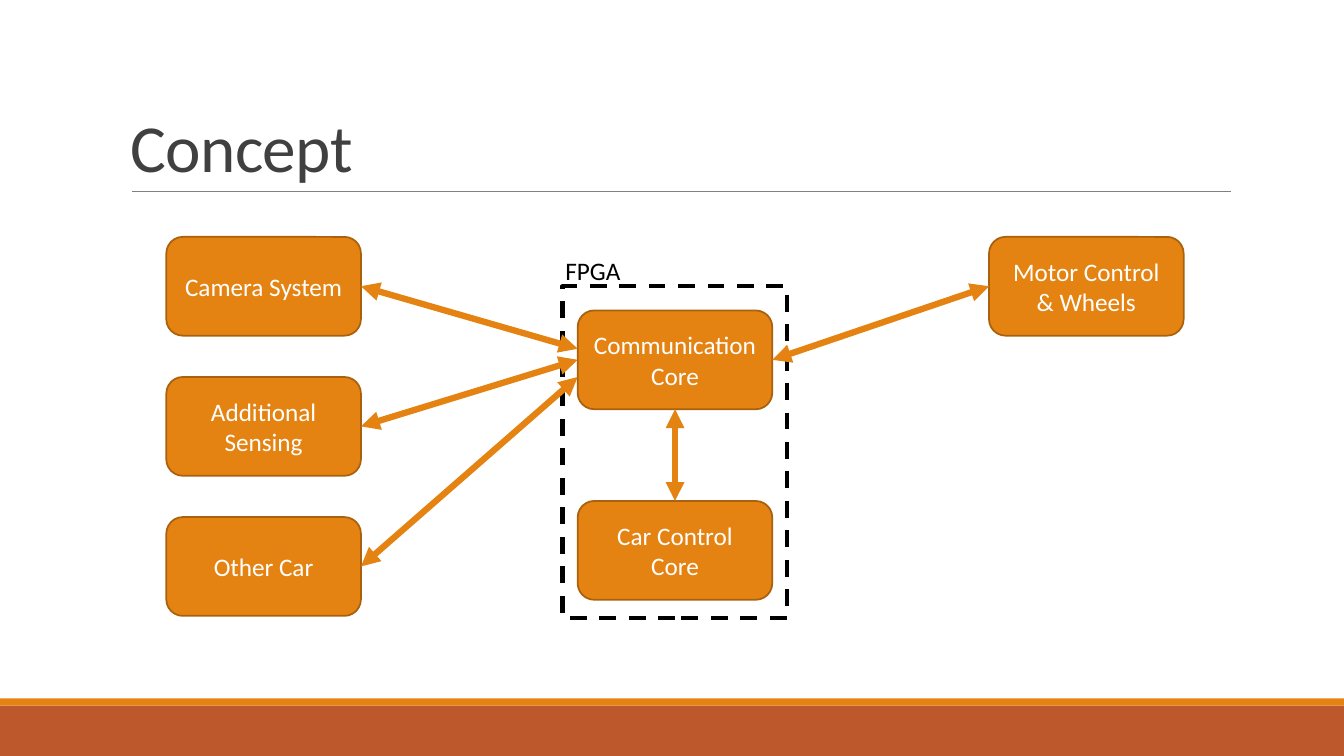
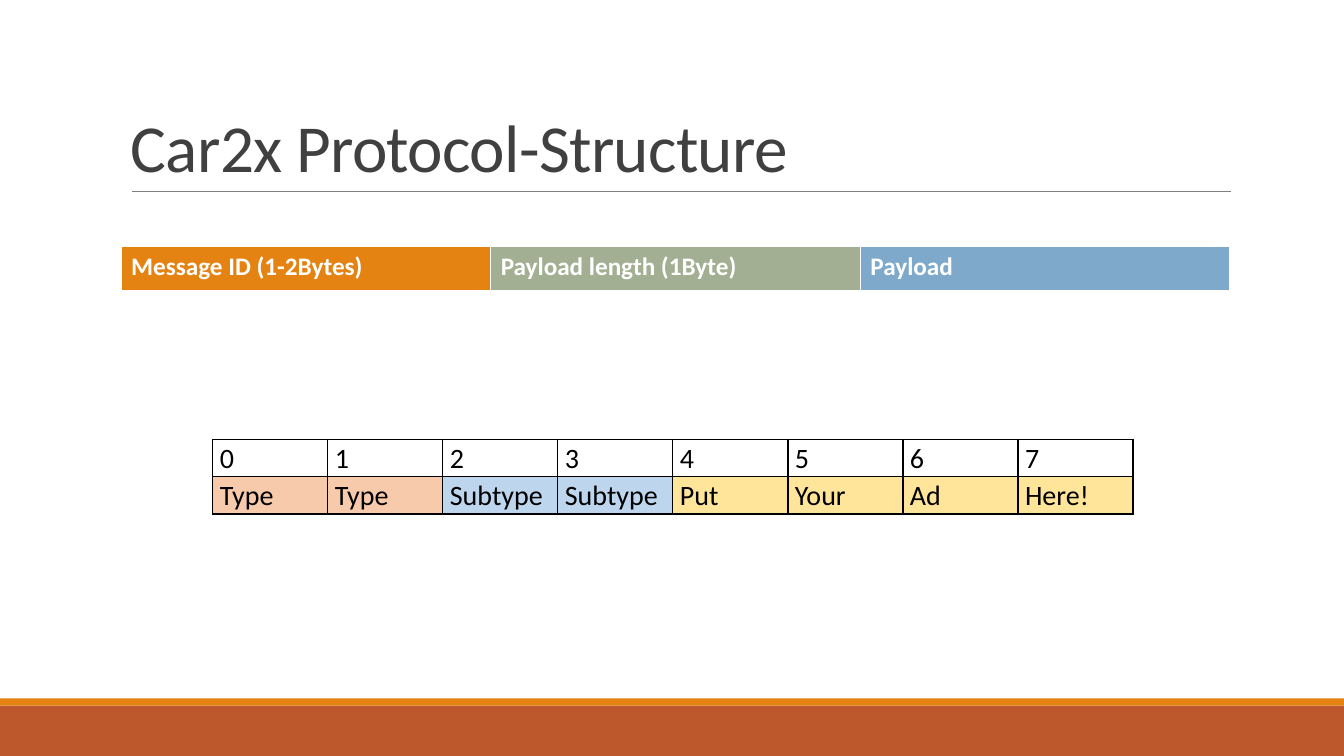
from lxml import etree
from pptx import Presentation
from pptx.dml.color import RGBColor
from pptx.enum.dml import MSO_LINE
from pptx.enum.shapes import MSO_CONNECTOR, MSO_SHAPE
from pptx.enum.text import MSO_ANCHOR, PP_ALIGN
from pptx.oxml.ns import qn
from pptx.util import Inches, Pt

RECT = MSO_SHAPE.RECTANGLE
ROUND = MSO_SHAPE.ROUNDED_RECTANGLE
STRAIGHT = MSO_CONNECTOR.STRAIGHT
DASH = MSO_LINE.DASH
LEFT, CENTER = PP_ALIGN.LEFT, PP_ALIGN.CENTER
TOP, MIDDLE, BOTTOM = MSO_ANCHOR.TOP, MSO_ANCHOR.MIDDLE, MSO_ANCHOR.BOTTOM

FONT = "Calibri"
WHITE, BLACK, GRAY, DARK = "FFFFFF", "000000", "808080", "404040"
ORANGE, BROWN, RUST = "E48312", "A9610D", "BD582C"
GREEN, BLUE = "A2AF92", "7EA9CA"
PEACH, SKY, YELLOW = "F7CAAC", "BDD6EE", "FFE599"
BOX_W, BOX_H = 1.93, 0.98


def color(code):
    return RGBColor.from_string(code)


class Deck:
    def __init__(self):
        self.prs = Presentation()
        self.prs.slide_width = Inches(13.33)
        self.prs.slide_height = Inches(7.5)
        self.slide = None

    def page(self, title):
        self.slide = self.prs.slides.add_slide(self.prs.slide_layouts[6])
        self.shape(RECT, 0, 7, 13.33, 0.5, RUST)
        self.shape(RECT, 0, 6.93, 13.33, 0.07, ORANGE)
        self.line((1.31, 1.9), (12.21, 1.9), GRAY, 0.5)
        para = self.text(title, 1.2, 0.31, 11, 1.59, 48, DARK, BOTTOM)
        para.line_spacing = 0.85
        para._p.get_or_add_pPr().get_or_add_defRPr().set("spc", "-50")

    def style(self, para, size, tint, bold=False, align=LEFT):
        para.alignment = align
        para.font.name = FONT
        para.font.size = Pt(size)
        para.font.bold = bold
        para.font.color.rgb = color(tint)

    def text(self, words, x, y, w, h, size, tint, anchor=TOP):
        box = self.slide.shapes.add_textbox(
            Inches(x), Inches(y), Inches(w), Inches(h))
        frame = box.text_frame
        frame.word_wrap = True
        frame.vertical_anchor = anchor
        para = frame.paragraphs[0]
        para.text = words
        self.style(para, size, tint)
        return para

    def shape(self, kind, x, y, w, h, fill, edge=None, width=1):
        item = self.slide.shapes.add_shape(
            kind, Inches(x), Inches(y), Inches(w), Inches(h))
        item.shadow.inherit = False
        item.fill.solid()
        item.fill.fore_color.rgb = color(fill)
        if edge:
            item.line.color.rgb = color(edge)
            item.line.width = Pt(width)
        else:
            item.line.fill.background()
        return item

    def box(self, words, x, y):
        item = self.shape(ROUND, x, y, BOX_W, BOX_H, ORANGE, BROWN, 1.25)
        frame = item.text_frame
        frame.word_wrap = True
        frame.vertical_anchor = MIDDLE
        para = frame.paragraphs[0]
        para.text = words
        self.style(para, 18, WHITE, align=CENTER)
        return item

    def line(self, start, end, tint, width):
        item = self.slide.shapes.add_connector(
            STRAIGHT, *[Inches(n) for n in (*start, *end)])
        item.line.color.rgb = color(tint)
        item.line.width = Pt(width)
        etree.SubElement(item._element.spPr, qn("a:effectLst"))
        return item

    def arrow(self, source, side, target, port=None, spot=(0, 0)):
        item = self.line((0, 0), spot, ORANGE, 4.5)
        item.begin_connect(source, side)
        if port is not None:
            item.end_connect(target, port)
        edge = item._element.spPr.get_or_add_ln()
        for tag in ("a:headEnd", "a:tailEnd"):
            etree.SubElement(edge, qn(tag), type="triangle")

    def border(self, cell, tint, widths):
        props = cell._tc.get_or_add_tcPr()
        for i, (side, width) in enumerate(zip("LRTB", widths)):
            edge = etree.Element(qn(f"a:ln{side}"), w=str(Pt(width)))
            fill = etree.SubElement(edge, qn("a:solidFill"))
            etree.SubElement(fill, qn("a:srgbClr"), val=tint)
            props.insert(i, edge)

    def table(self, rows, x, y, w, h, size, tint, edge, widths,
              bold=False, inset=(0.1, 0.05), space=1.0):
        table = self.slide.shapes.add_table(
            len(rows), len(rows[0]),
            Inches(x), Inches(y), Inches(w), Inches(h)).table
        table.first_row = table.horz_banding = False
        for r, row in enumerate(rows):
            for c, (words, fill) in enumerate(row):
                cell = table.cell(r, c)
                cell.margin_left = cell.margin_right = Inches(inset[0])
                cell.margin_top = cell.margin_bottom = Inches(inset[1])
                para = cell.text_frame.paragraphs[0]
                para.text = words
                para.line_spacing = space
                self.style(para, size, tint, bold)
                self.border(cell, edge, widths)
                if fill:
                    cell.fill.solid()
                    cell.fill.fore_color.rgb = color(fill)
                else:
                    cell.fill.background()


def concept(deck):
    deck.page("Concept")
    frame = deck.shape(RECT, 5.58, 2.84, 2.23, 3.29, WHITE, BLACK, 3)
    frame.line.dash_style = DASH
    deck.text("FPGA", 5.51, 2.48, 1.84, 0.4, 18, BLACK)
    core = deck.box("Communication Core", 5.73, 3.08)
    drive = deck.box("Car Control Core", 5.73, 4.97)
    motor = deck.box("Motor Control & Wheels", 9.81, 2.35)
    names = ("Camera System", "Additional Sensing", "Other Car")
    camera, sensor, other = [
        deck.box(name, 1.65, 2.35 + 1.39 * i) for i, name in enumerate(names)]
    deck.arrow(camera, 3, core, spot=(5.73, 3.46))
    deck.arrow(sensor, 3, core, 1)
    deck.arrow(other, 3, core, spot=(5.73, 3.74))
    deck.arrow(core, 3, motor, 1)
    deck.arrow(core, 2, drive, 0)


def protocol(deck):
    deck.page("Car2x Protocol-Structure")
    fields = [("Message ID (1-2Bytes)", ORANGE),
              ("Payload length (1Byte)", GREEN), ("Payload", BLUE)]
    deck.table([fields], 1.2, 2.44, 11, 0.46, 18, WHITE, WHITE,
               (1, 1, 1, 3), bold=True)
    bits = [(str(n), None) for n in range(8)]
    parts = [("Type", PEACH)] * 2 + [("Subtype", SKY)] * 2
    parts += [(word, YELLOW) for word in ("Put", "Your", "Ad", "Here!")]
    deck.table([bits, parts], 2.11, 4.36, 9.13, 0.74, 20, BLACK, BLACK,
               (1, 1, 1, 1), inset=(0.07, 0), space=1.07)


def main():
    deck = Deck()
    concept(deck)
    protocol(deck)
    deck.prs.save("out.pptx")


if __name__ == "__main__":
    main()
